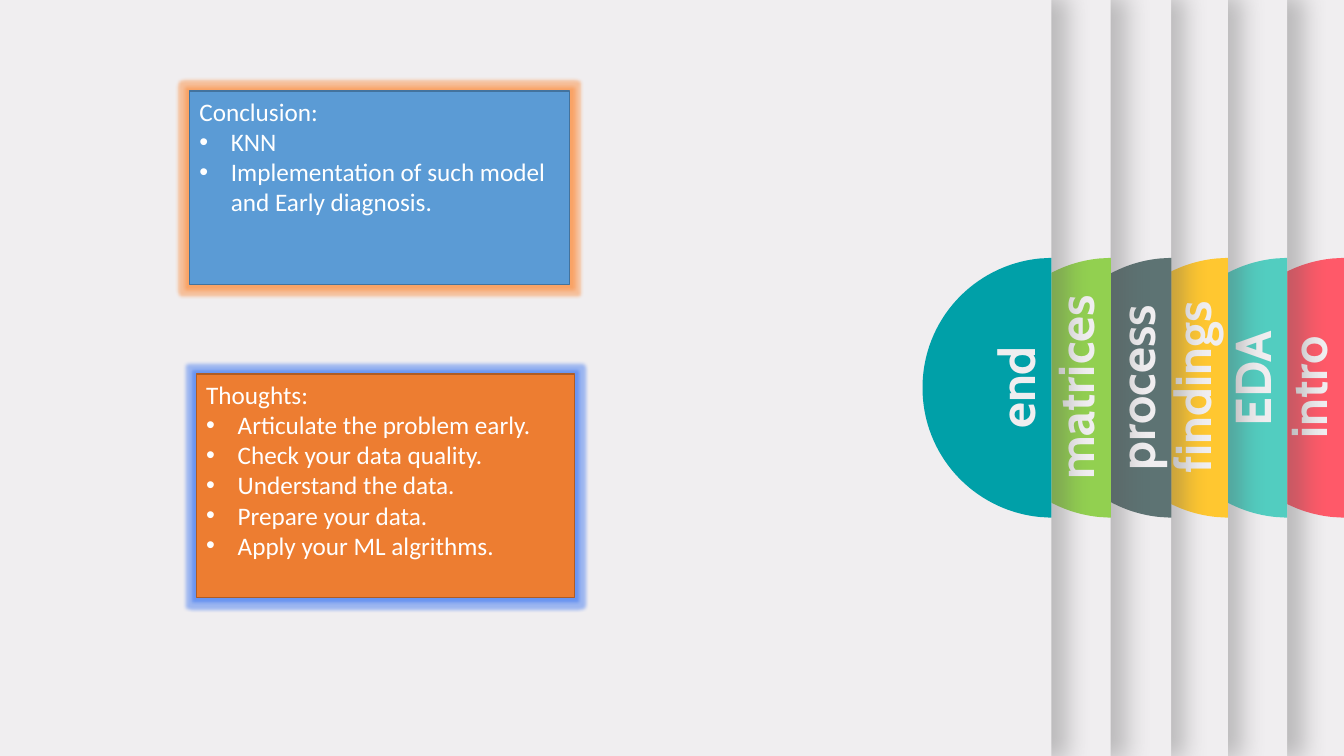
from dataclasses import dataclass

from lxml import etree
from pptx import Presentation
from pptx.dml.color import RGBColor
from pptx.enum.shapes import MSO_SHAPE
from pptx.enum.text import MSO_ANCHOR, PP_ALIGN
from pptx.oxml.ns import qn
from pptx.util import Pt

RECTANGLE = MSO_SHAPE.RECTANGLE
TOP, MIDDLE = MSO_ANCHOR.TOP, MSO_ANCHOR.MIDDLE
LEFT, CENTER = PP_ALIGN.LEFT, PP_ALIGN.CENTER


@dataclass(frozen=True)
class Theme:
    paper: str = "F0EEF0"
    shadow: str = "595959"
    white: str = "FFFFFF"
    label_font: str = "Cabin"
    body_font: str = "Calibri"
    label_size: float = 36
    body_size: float = 18


@dataclass(frozen=True)
class Panel:
    label: str
    left: float
    right: float
    color: str
    label_middle: float = 276.84


@dataclass(frozen=True)
class Card:
    left: float
    top: float
    width: float
    height: float
    fill: str
    outline: str
    glow: str
    heading: str
    points: tuple[str, ...]


THEME = Theme()
SLIDE_WIDTH, SLIDE_HEIGHT = 960, 540
TAB_MIDDLE = 277
LABEL_WIDTH, LABEL_HEIGHT, LABEL_INSET = 156.96, 51.12, 25.9
BULLET_INDENT = 22.5

# Lower half of a tab: corner, shoulder, two curve handles, leftmost point,
# each as distance left of the panel edge and below the tab's middle
TAB_HALF = ((0, 92.8), (8.4, 92.3), (55.6, 87.5), (92, 48.2), (92, 0))
TAB_OUTLINE = TAB_HALF + tuple((x, -y) for x, y in TAB_HALF[-2::-1])

# Panels from back to front
PANELS = (
    Panel("intro", -23.04, 960, "FF5969"),
    Panel("EDA", 18, 919.44, "52CDC0", 270.36),
    Panel("findings", 92.88, 877.1, "FFC730"),
    Panel("process", 82.8, 836.64, "5D7373"),
    Panel("matrices", -140.4, 793.44, "92D050"),
    Panel("end", -141.12, 750.96, "00A0A8"),
)

CARDS = (
    Card(135.36, 65, 271.44, 138.24, "5B9BD5", "43739E", "FF7A1A",
         "Conclusion:",
         ("KNN", "Implementation of such model and Early diagnosis.")),
    Card(140.2, 267.12, 270, 159.84, "ED7D31", "AF5C24", "1F62F0",
         "Thoughts:",
         ("Articulate the problem early.", "Check your data quality.",
          "Understand the data.", "Prepare your data.",
          "Apply your ML algrithms.")),
)


def rgb(color: str) -> RGBColor:
    return RGBColor.from_string(color)


def paint(shape, fill: str, outline: str | None = None) -> None:
    shape.shadow.inherit = False
    shape.fill.solid()
    shape.fill.fore_color.rgb = rgb(fill)
    if outline:
        shape.line.color.rgb = rgb(outline)
        shape.line.width = Pt(1)
    else:
        shape.line.fill.background()


def add_effect(shape, kind: str, color: str, alpha: int,
               **settings: object) -> None:
    """Put a glow or shadow into the shape's effect list."""
    effects = shape._element.spPr.find(qn("a:effectLst"))
    effect = etree.SubElement(effects, qn(f"a:{kind}"))
    for name, value in settings.items():
        effect.set(name, str(value))
    tint = etree.SubElement(effect, qn("a:srgbClr"), val=color)
    etree.SubElement(tint, qn("a:alpha"), val=str(alpha * 1000))


def add_bullet(paragraph) -> None:
    properties = paragraph._p.get_or_add_pPr()
    properties.set("marL", str(Pt(BULLET_INDENT)))
    properties.set("indent", str(-Pt(BULLET_INDENT)))
    etree.SubElement(properties, qn("a:buFont"), typeface="Arial")
    etree.SubElement(properties, qn("a:buChar"), char="•")


def write(paragraph, text: str, alignment, color: str, **font: object) -> None:
    paragraph.alignment = alignment
    run = paragraph.add_run()
    run.text = text
    for name, value in font.items():
        setattr(run.font, name, value)
    run.font.color.rgb = rgb(color)


def draw_tab(shapes, panel: Panel) -> None:
    """Draw the half-round tab, its bulge made of two cubic curves."""
    corners = [(Pt(panel.right - x), Pt(TAB_MIDDLE + y))
               for x, y in TAB_OUTLINE]
    builder = shapes.build_freeform(*corners[0])
    builder.add_line_segments(corners[1:], close=True)
    tab = builder.convert_to_shape()
    segments = list(tab._element.iter(qn("a:lnTo")))
    for first in (1, 4):
        handles = segments[first:first + 3]
        curve = etree.Element(qn("a:cubicBezTo"))
        handles[0].addprevious(curve)
        for handle in handles:
            curve.append(handle[0])
            handle.getparent().remove(handle)
    paint(tab, panel.color)


def draw_panel(slide, panel: Panel) -> None:
    shapes = slide.shapes.add_group_shape().shapes

    # Sheet with a shadow on its right
    sheet = shapes.add_shape(RECTANGLE, Pt(panel.left), 0,
                             Pt(panel.right - panel.left), Pt(SLIDE_HEIGHT))
    paint(sheet, THEME.paper)
    add_effect(sheet, "outerShdw", THEME.shadow, 35, blurRad=Pt(17),
               dist=Pt(3), dir=0, sx=101000, sy=101000, algn="l")

    draw_tab(shapes, panel)

    # Label reading upwards
    label = shapes.add_textbox(
        Pt(panel.right - LABEL_INSET - LABEL_WIDTH / 2),
        Pt(panel.label_middle - LABEL_HEIGHT / 2),
        Pt(LABEL_WIDTH), Pt(LABEL_HEIGHT))
    label.rotation = 270
    frame = label.text_frame
    frame.word_wrap = True
    frame.vertical_anchor = MIDDLE
    write(frame.paragraphs[0], panel.label, CENTER, THEME.paper,
          name=THEME.label_font, size=Pt(THEME.label_size), bold=True)


def draw_card(slide, card: Card) -> None:
    shape = slide.shapes.add_shape(RECTANGLE, Pt(card.left), Pt(card.top),
                                   Pt(card.width), Pt(card.height))
    paint(shape, card.fill, card.outline)
    add_effect(shape, "glow", card.glow, 40, rad=Pt(5))
    frame = shape.text_frame
    frame.word_wrap = True
    frame.vertical_anchor = TOP
    body = {"name": THEME.body_font, "size": Pt(THEME.body_size)}
    write(frame.paragraphs[0], card.heading, LEFT, THEME.white, **body)
    for point in card.points:
        paragraph = frame.add_paragraph()
        add_bullet(paragraph)
        write(paragraph, point, LEFT, THEME.white, **body)


def main() -> None:
    presentation = Presentation()
    presentation.slide_width = Pt(SLIDE_WIDTH)
    presentation.slide_height = Pt(SLIDE_HEIGHT)
    slide = presentation.slides.add_slide(presentation.slide_layouts[6])
    slide.background.fill.solid()
    slide.background.fill.fore_color.rgb = rgb(THEME.paper)
    for panel in PANELS:
        draw_panel(slide, panel)
    for card in CARDS:
        draw_card(slide, card)
    presentation.save("out.pptx")


if __name__ == "__main__":
    main()
